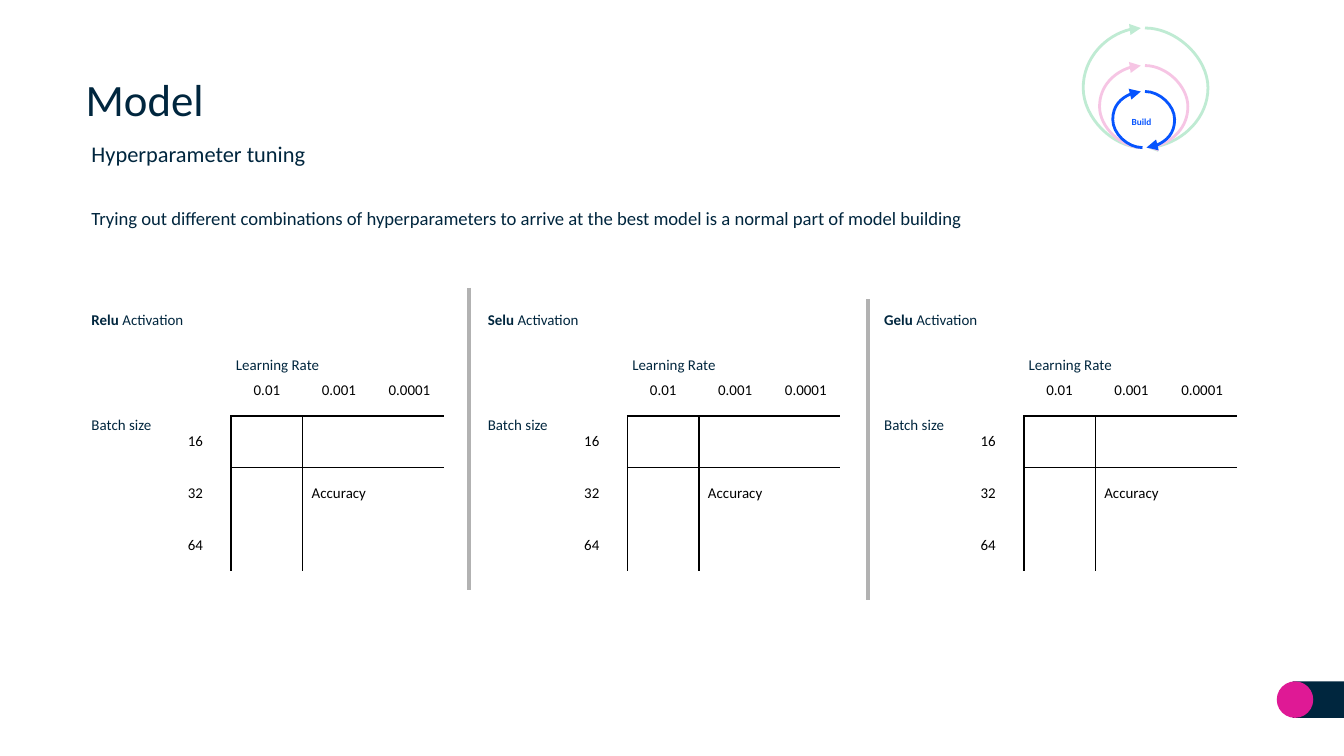
"""Build the hyperparameter tuning slide."""
from dataclasses import dataclass

from lxml.etree import SubElement
from pptx import Presentation
from pptx.dml.color import RGBColor
from pptx.enum.shapes import MSO_CONNECTOR as Connector, MSO_SHAPE as Shape
from pptx.enum.text import MSO_ANCHOR as Anchor, MSO_AUTO_SIZE as AutoSize, PP_ALIGN as Align
from pptx.oxml.ns import qn
from pptx.util import Cm, Pt


@dataclass(frozen=True)
class Theme:
    """Colours, type sizes and line widths."""
    font: str = "Calibri"
    navy: str = "00263E"
    pink: str = "DF1995"
    green: str = "00B050"
    blue: str = "0654FE"
    grey: str = "B2B2B2"
    black: str = "000000"
    white: str = "FFFFFF"
    title: float = 24
    subtitle: float = 12
    body: float = 10
    label: float = 8
    badge: float = 5
    ring: float = 1.5
    divider: float = 2.25
    axis: float = 1
    rule: float = 0.75


@dataclass(frozen=True)
class Box:
    """A rectangle in centimetres."""
    left: float
    top: float
    width: float
    height: float

    def lengths(self) -> tuple:
        return Cm(self.left), Cm(self.top), Cm(self.width), Cm(self.height)


@dataclass(frozen=True)
class Ring:
    """Two curved arrows that share a bottom point."""
    color: str
    top: float
    left_reach: float
    right_reach: float


@dataclass(frozen=True)
class Panel:
    """The accuracy grid of one activation function."""
    activation: str
    left: float


THEME = Theme()
RING_LEFT, RING_RIGHT, RING_BOTTOM, RING_WIDTH = 21.56, 21.64, 2.79, 0.03
OUTER_RINGS = [Ring(THEME.green, 0.53, 1.12, 1.19), Ring(THEME.pink, 1.24, 0.81, 0.81)]
BUILD_RING = Ring(THEME.blue, 1.73, 0.56, 0.56)
MARGIN, PITCH = 1.7, 7.49
PANELS = [Panel(name, MARGIN + index * PITCH) for index, name in enumerate(["Relu", "Selu", "Gelu"])]
GRID = [
    ["", "0.01", "0.001", "0.0001"],
    ["16", "", "", ""],
    ["32", "", "Accuracy", ""],
    ["64", "", "", ""],
]
COLUMN_WIDTHS = [1.35, 1.35, 1.37, 1.3]
ROW_HEIGHT = 0.98
RULE_WIDTHS = {0: THEME.axis, 1: THEME.rule}
DIVIDERS = [(8.86, 5.44, 11.15), (16.41, 5.66, 11.35)]


def style_paragraph(paragraph, size: float, color: str, align: Align) -> None:
    """Set the font and alignment of a paragraph."""
    paragraph.alignment = align
    paragraph.font.name = THEME.font
    paragraph.font.size = Pt(size)
    paragraph.font.color.rgb = RGBColor.from_string(color)


def set_margins(target, margin: float = 0.03) -> None:
    """Give a text frame or a cell equal margins."""
    target.margin_left = target.margin_right = Cm(margin)
    target.margin_top = target.margin_bottom = Cm(margin)


def add_text(slide, box: Box, text: str, size: float, color: str = THEME.navy,
             align: Align = Align.JUSTIFY, bold_lead: str = "") -> None:
    """Add a one-line text box, with an optional bold lead."""
    frame = slide.shapes.add_textbox(*box.lengths()).text_frame
    frame.word_wrap = True
    frame.auto_size = AutoSize.SHAPE_TO_FIT_TEXT
    set_margins(frame)
    paragraph = frame.paragraphs[0]
    style_paragraph(paragraph, size, color, align)
    paragraph.line_spacing = 1.15
    if bold_lead:
        lead = paragraph.add_run()
        lead.text = bold_lead
        lead.font.bold = True
    paragraph.add_run().text = text


def add_filled(slide, kind: Shape, box: Box, color: str):
    """Add a plain filled shape without outline."""
    shape = slide.shapes.add_shape(kind, *box.lengths())
    shape.shadow.inherit = False
    shape.fill.solid()
    shape.fill.fore_color.rgb = RGBColor.from_string(color)
    shape.line.fill.background()
    return shape


def add_line(slide, kind: Connector, start: tuple, end: tuple, color: str, width: float):
    """Add a connector without shadow."""
    connector = slide.shapes.add_connector(kind, *map(Cm, start + end))
    connector.line.color.rgb = RGBColor.from_string(color)
    connector.line.width = Pt(width)
    SubElement(connector._element.spPr, qn("a:effectLst"))
    return connector


def add_ring(slide, ring: Ring) -> None:
    """Draw the left and right arrows of a ring."""
    for left, reach, turn in ((RING_LEFT, ring.left_reach, 180), (RING_RIGHT, ring.right_reach, 0)):
        arc = add_line(slide, Connector.CURVE, (left, ring.top), (left + RING_WIDTH, RING_BOTTOM),
                       ring.color, THEME.ring)
        properties = arc._element.spPr
        properties.find(qn("a:xfrm")).set("rot", str(turn * 60000))
        adjustments = properties.find(qn("a:prstGeom")).get_or_add_avLst()
        SubElement(adjustments, qn("a:gd"), name="adj1", fmla=f"val {round(reach / RING_WIDTH * 100000)}")
        SubElement(arc.line._get_or_add_ln(), qn("a:tailEnd"), type="triangle")


def add_border(cell, side: str, width: float) -> None:
    """Draw one black cell border."""
    line = SubElement(cell._tc.get_or_add_tcPr(), qn(f"a:{side}"), w=str(Pt(width)))
    SubElement(SubElement(line, qn("a:solidFill")), qn("a:srgbClr"), val=THEME.black)


def add_grid(slide, left: float, top: float) -> None:
    """Add the table of learning rates by batch sizes."""
    box = Box(left, top, sum(COLUMN_WIDTHS), ROW_HEIGHT * len(GRID))
    table = slide.shapes.add_table(len(GRID), len(COLUMN_WIDTHS), *box.lengths()).table
    table.first_row = table.horz_banding = False
    table._tbl.tblPr.find(qn("a:tableStyleId")).text = "{2D5ABB26-0587-4C30-8999-92F81FD0307C}"
    for column, width in zip(table.columns, COLUMN_WIDTHS):
        column.width = Cm(width)
    for row_index, values in enumerate(GRID):
        table.rows[row_index].height = Cm(ROW_HEIGHT)
        for column_index, value in enumerate(values):
            cell = table.cell(row_index, column_index)
            cell.text = value
            cell.vertical_anchor = Anchor.MIDDLE
            set_margins(cell)
            style_paragraph(cell.text_frame.paragraphs[0], THEME.label, THEME.black, Align.CENTER)
            if row_index and column_index in RULE_WIDTHS:
                add_border(cell, "lnR", RULE_WIDTHS[column_index])
            if column_index and row_index in RULE_WIDTHS:
                add_border(cell, "lnB", RULE_WIDTHS[row_index])
            cell.fill.background()


def add_panel(slide, panel: Panel) -> None:
    """Add a grid with its three labels."""
    add_grid(slide, panel.left + 1.32, 6.88)
    add_text(slide, Box(panel.left + 2.73, 6.65, 2.21, 0.46), "Learning Rate", THEME.label)
    add_text(slide, Box(panel.left, 7.77, 1.63, 0.46), "Batch size", THEME.label)
    add_text(slide, Box(panel.left, 5.79, 2.51, 0.46), " Activation", THEME.label,
             bold_lead=panel.activation)


def add_title(slide, text: str) -> None:
    """Place and format the title placeholder."""
    title = slide.shapes.title
    title.left, title.top, title.width, title.height = Box(1.37, 1.17, 22.73, 1.4).lengths()
    frame = title.text_frame
    frame.text = text
    frame.auto_size = AutoSize.NONE
    frame.vertical_anchor = Anchor.MIDDLE
    set_margins(frame, 0.25)
    style_paragraph(frame.paragraphs[0], THEME.title, THEME.navy, Align.LEFT)


def main() -> None:
    """Build and save the presentation."""
    presentation = Presentation()
    presentation.slide_width, presentation.slide_height = Cm(25.4), Cm(14.29)
    slide = presentation.slides.add_slide(presentation.slide_layouts[5])
    add_filled(slide, Shape.RECTANGLE, Box(24.43, 12.88, 0.97, 0.69), THEME.navy)
    add_filled(slide, Shape.OVAL, Box(24.13, 12.88, 0.69, 0.69), THEME.pink)
    add_title(slide, "Model")
    for ring in OUTER_RINGS:
        add_ring(slide, ring)
    veil = add_filled(slide, Shape.OVAL, Box(20.37, 0.38, 2.54, 2.54), THEME.white)
    SubElement(veil._element.spPr.find(f".//{qn('a:srgbClr')}"), qn("a:alpha"), val="75000")
    add_ring(slide, BUILD_RING)
    add_text(slide, Box(20.65, 2.13, 1.85, 0.3), "", THEME.badge, THEME.blue, Align.CENTER, "Build")
    add_text(slide, Box(MARGIN, 2.54, 14.33, 0.64), "Hyperparameter tuning", THEME.subtitle)
    add_text(slide, Box(MARGIN, 3.81, 21.21, 0.53),
             "Trying out different combinations of hyperparameters to arrive at the best model "
             "is a normal part of model building", THEME.body)
    for panel in PANELS:
        add_panel(slide, panel)
    for x, top, bottom in DIVIDERS:
        add_line(slide, Connector.STRAIGHT, (x, top), (x, bottom), THEME.grey, THEME.divider)
    presentation.save("out.pptx")


if __name__ == "__main__":
    main()
